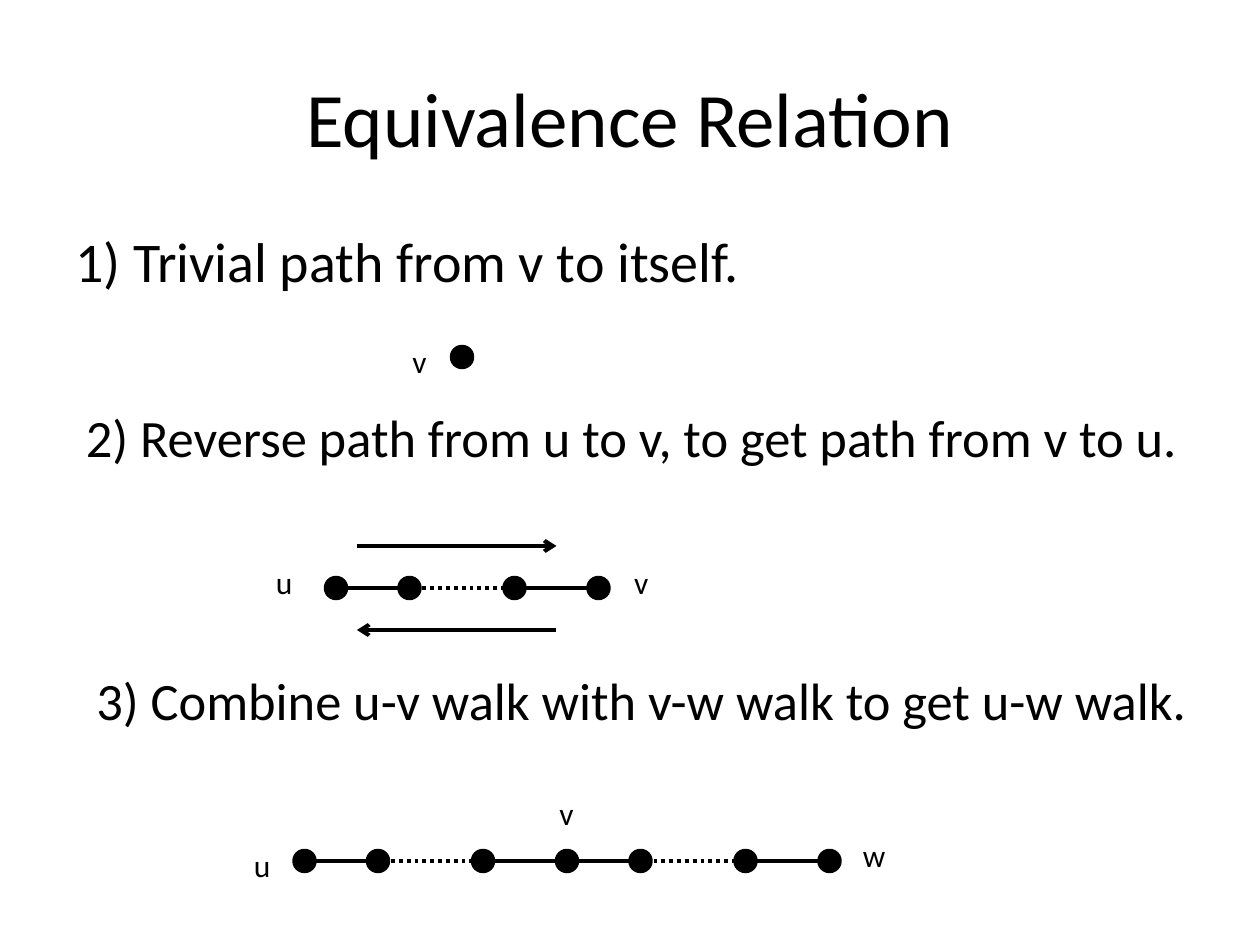
from dataclasses import dataclass
from itertools import pairwise

from pptx import Presentation
from pptx.dml.color import RGBColor
from pptx.enum.dml import MSO_LINE_DASH_STYLE as Dash
from pptx.enum.shapes import MSO_CONNECTOR as Connector, MSO_SHAPE as Shape
from pptx.enum.text import MSO_ANCHOR as Anchor, MSO_AUTO_SIZE as AutoSize, PP_ALIGN as Align
from pptx.oxml.ns import qn
from pptx.slide import Slide
from pptx.util import Emu, Pt
from lxml.etree import SubElement

PX_PER_INCH = 120
BLACK = RGBColor(0x00, 0x00, 0x00)
WHITE = RGBColor(0xFF, 0xFF, 0xFF)
FONT = "Calibri"
DOT = 20
LABEL_HEIGHT = 48
LABEL_WIDTHS = {"u": 40, "v": 37, "w": 46}


@dataclass(frozen=True)
class Text:
    words: str
    left: int
    top: int
    width: int
    height: int
    size: int
    align: Align = Align.LEFT
    anchor: Anchor = Anchor.TOP
    wrap: bool = True
    indent: int = 0


@dataclass(frozen=True)
class Label:
    name: str
    left: int
    top: int


@dataclass(frozen=True)
class Walk:
    """Dots along one row; the middle link of every three is dotted."""
    top: int
    dots: tuple[int, ...]


@dataclass(frozen=True)
class Arrow:
    start: int
    end: int
    y: int


TEXTS = (
    Text("Equivalence Relation", 60, 36, 1080, 150, 44, Align.CENTER, Anchor.MIDDLE),
    Text("1) Trivial path from v to itself.", 60, 210, 1080, 80, 32, indent=45),
    Text("2) Reverse path from u to v, to get path from v to u.", 70, 380, 1080, 120, 30, indent=45),
    Text("3) Combine u-v walk with v-w walk to get u-w walk.", 80, 630, 1080, 120, 30, indent=45),
)
WALKS = (
    Walk(330, (430,)),
    Walk(550, (310, 380, 480, 560)),
    Walk(810, (280, 350, 450, 530, 600, 700, 780)),
)
ARROWS = (Arrow(340, 530, 520), Arrow(530, 340, 600))
LABELS = (
    Label("v", 381, 320),
    Label("u", 251, 530),
    Label("v", 592, 530),
    Label("u", 230, 800),
    Label("v", 521, 750),
    Label("w", 810, 790),
)


def px(length: int) -> Emu:
    return Emu(length * 914400 // PX_PER_INCH)


def apply(target: object, values: dict[str, object]) -> None:
    for name, value in values.items():
        setattr(target, name, value)


def add_text(page: Slide, text: Text) -> None:
    box = page.shapes.add_textbox(px(text.left), px(text.top), px(text.width), px(text.height))
    frame = box.text_frame
    apply(frame, {
        "word_wrap": text.wrap,
        "vertical_anchor": text.anchor,
        "auto_size": AutoSize.NONE if text.wrap else AutoSize.SHAPE_TO_FIT_TEXT,
    })
    para = frame.paragraphs[0]
    para.alignment = text.align
    if text.indent:
        properties = para._p.get_or_add_pPr()
        properties.set("marL", str(px(text.indent)))
        properties.set("indent", str(-px(text.indent)))
    span = para.add_run()
    span.text = text.words
    apply(span.font, {"name": FONT, "size": Pt(text.size)})
    span.font.color.rgb = BLACK


def add_label(page: Slide, label: Label) -> None:
    width = LABEL_WIDTHS[label.name]
    add_text(page, Text(label.name, label.left, label.top, width, LABEL_HEIGHT, 18, wrap=False))


def add_line(page: Slide, start: int, end: int, y: int,
             dotted: bool = False, arrow: bool = False) -> None:
    line = page.shapes.add_connector(Connector.STRAIGHT, px(start), px(y), px(end), px(y))
    line.line.width = Pt(2.25)
    line.line.color.rgb = BLACK
    if dotted:
        line.line.dash_style = Dash.ROUND_DOT
    if arrow:
        SubElement(line.line._get_or_add_ln(), qn("a:tailEnd"), type="arrow")
    SubElement(line._element.spPr, qn("a:effectLst"))


def add_dot(page: Slide, left: int, top: int) -> None:
    dot = page.shapes.add_shape(Shape.OVAL, px(left), px(top), px(DOT), px(DOT))
    dot.shadow.inherit = False
    dot.fill.solid()
    dot.fill.fore_color.rgb = BLACK
    dot.line.color.rgb = BLACK
    dot.line.width = Pt(2)


def add_walk(page: Slide, walk: Walk) -> None:
    for left in walk.dots:
        add_dot(page, left, walk.top)
    for index, (left, right) in enumerate(pairwise(walk.dots)):
        add_line(page, left, right + DOT, walk.top + DOT // 2, dotted=index % 3 == 1)


def main() -> None:
    deck = Presentation()
    apply(deck, {"slide_width": px(1200), "slide_height": px(900)})
    page = deck.slides.add_slide(deck.slide_layouts[6])
    page.background.fill.solid()
    page.background.fill.fore_color.rgb = WHITE
    for text in TEXTS:
        add_text(page, text)
    for walk in WALKS:
        add_walk(page, walk)
    for arrow in ARROWS:
        add_line(page, arrow.start, arrow.end, arrow.y, arrow=True)
    for label in LABELS:
        add_label(page, label)
    deck.save("out.pptx")


if __name__ == "__main__":
    main()
